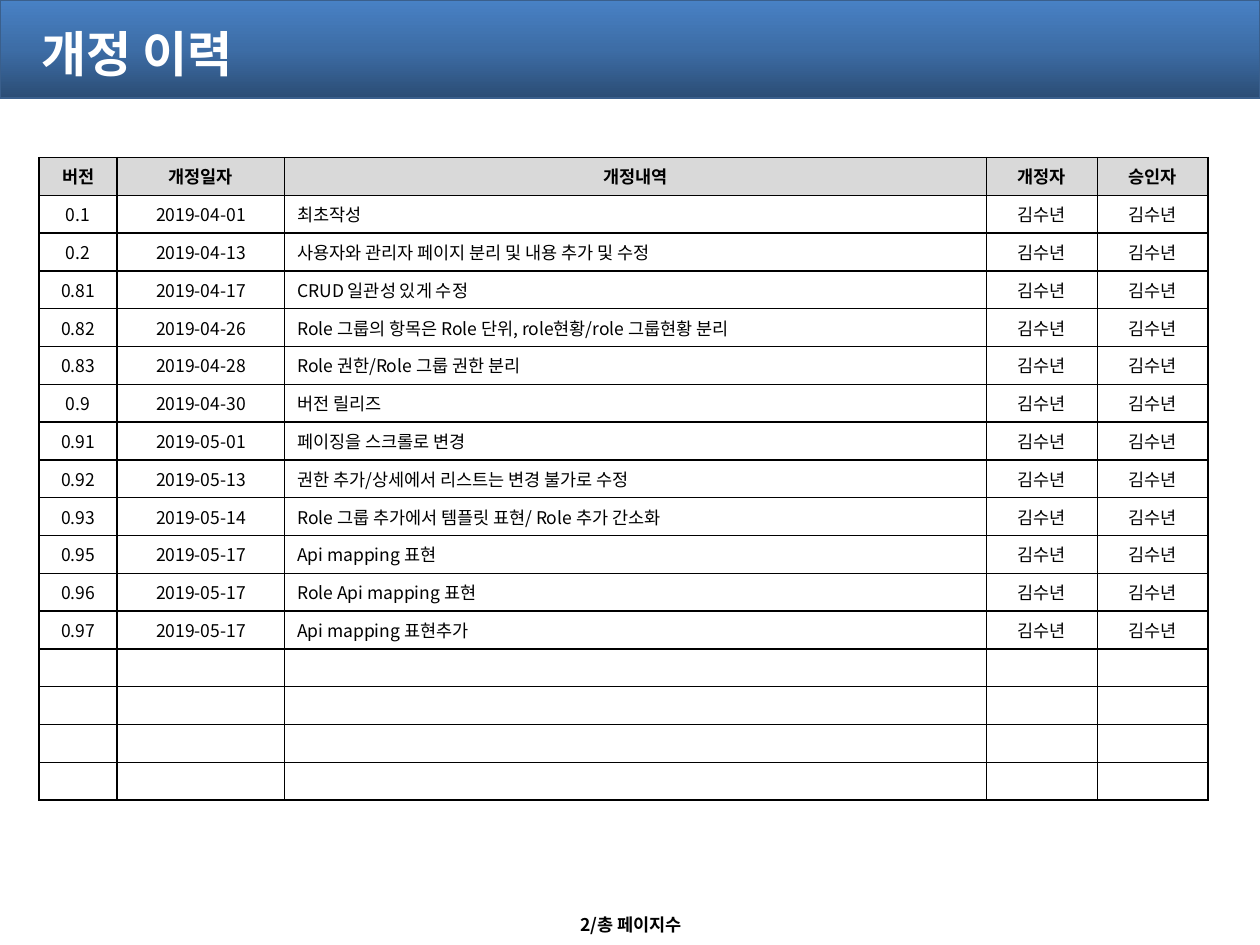
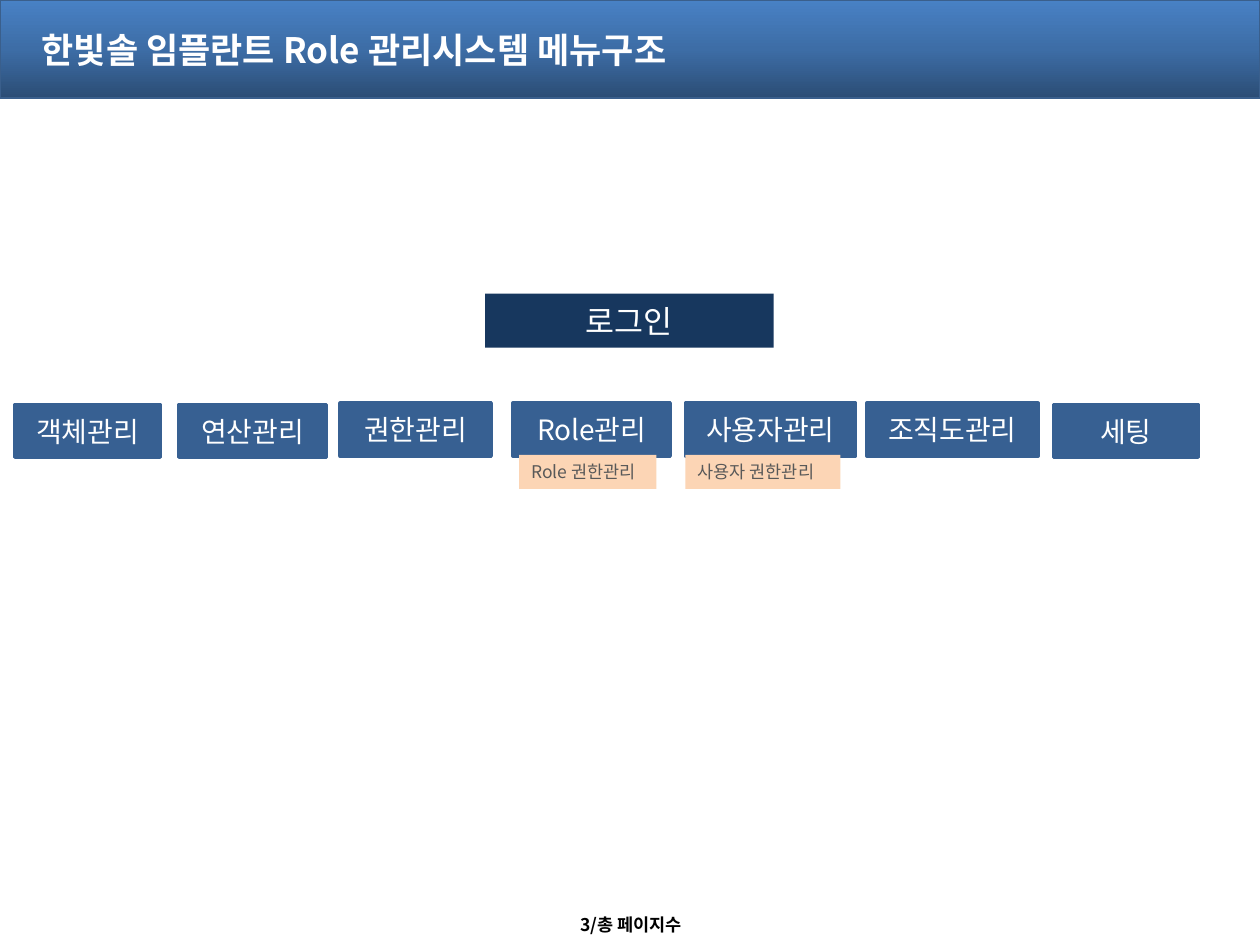
import copy

import pptx
import pptx.dml.color
import pptx.enum.shapes
import pptx.enum.text
import pptx.oxml.ns
import pptx.util
from lxml import etree

Inches = pptx.util.Inches
ALIGN = pptx.enum.text.PP_ALIGN
ANCHOR = pptx.enum.text.MSO_ANCHOR
RECTANGLE = pptx.enum.shapes.MSO_SHAPE.RECTANGLE
rgb = pptx.dml.color.RGBColor.from_string
qn = pptx.oxml.ns.qn

FONT = "Noto Sans CJK KR"
WHITE, BLACK = "FFFFFF", "000000"
MENU_BLUE = "376092"
BAND_STOPS = [(0, "2B4D75"), (0.5, "3D6DA6"), (1, "4881C5")]


def write(frame, text, size, color, bold=False, align=ALIGN.CENTER, kerned=True):
    """Set one paragraph; an empty one still carries its size and font."""
    frame.text = text
    paragraph = frame.paragraphs[0]
    paragraph.alignment = align
    if text:
        font = paragraph.runs[0].font
        font.size, font.bold, font.name = pptx.util.Pt(size), bold, FONT
        font.color.rgb = rgb(color)
        etree.SubElement(font._element, qn("a:ea"), typeface=FONT)
        if not kerned:
            font._element.set("kern", "0")
    else:
        end = etree.SubElement(paragraph._p, qn("a:endParaRPr"), sz=str(size * 100))
        for script in ("a:latin", "a:ea"):
            etree.SubElement(end, qn(script), typeface=FONT)


def add_box(slide, left, top, width, height, fill, line=None, line_width=2):
    box = slide.shapes.add_shape(
        RECTANGLE, Inches(left), Inches(top), Inches(width), Inches(height))
    box.shadow.inherit = False
    box.fill.solid()
    box.fill.fore_color.rgb = rgb(fill)
    if line:
        box.line.color.rgb = rgb(line)
        box.line.width = pptx.util.Pt(line_width)
    else:
        box.line.fill.background()
    box.text_frame.word_wrap = True
    return box


deck = pptx.Presentation()
deck.slide_width, deck.slide_height = Inches(10), Inches(7.5)

# Title band, title and page footer shared by the slides
headings = [("개정 이력", 28, 0.15), ("한빛솔 임플란트 Role 관리시스템 메뉴구조", 20, 0.06)]
for page, (heading, size, top) in enumerate(headings, start=2):
    slide = deck.slides.add_slide(deck.slide_layouts[5])

    band = add_box(slide, 0, 0, 10, 0.78, MENU_BLUE, "3A5F8C", 1)
    band.fill.gradient()
    band.fill.gradient_angle = 90
    stop_list = band._element.spPr.find(".//" + qn("a:gsLst"))
    stop_list.append(copy.deepcopy(stop_list[0]))
    for stop, (position, color) in zip(band.fill.gradient_stops, BAND_STOPS):
        stop.position = position
        stop.color.rgb = rgb(color)
    slide.shapes._spTree.insert(2, band._element)

    title = slide.shapes.title
    title.left, title.top = Inches(0.23), Inches(top)
    title.width, title.height = Inches(9.53), Inches(0.55)
    title.text_frame.auto_size = pptx.enum.text.MSO_AUTO_SIZE.NONE
    title.text_frame.vertical_anchor = ANCHOR.BOTTOM
    write(title.text_frame, heading, size, WHITE, True, ALIGN.LEFT, kerned=False)

    footer = slide.shapes.add_textbox(
        Inches(4.38), Inches(7.16), Inches(1.25), Inches(0.26)).text_frame
    footer.margin_left = footer.margin_right = 0
    footer.margin_top = footer.margin_bottom = 0
    footer.word_wrap = True
    footer.vertical_anchor = ANCHOR.BOTTOM
    write(footer, f"{page}/총 페이지수", 10, BLACK, True)
    footer.paragraphs[0].line_spacing = 0.8

history_slide, menu_slide = deck.slides

# Revision history
AUTHOR = "김수년"
revisions = [
    ("0.1", "2019-04-01", "최초작성"),
    ("0.2", "2019-04-13", "사용자와 관리자 페이지 분리 및 내용 추가 및 수정"),
    ("0.81", "2019-04-17", "CRUD 일관성 있게 수정"),
    ("0.82", "2019-04-26", "Role 그룹의 항목은 Role 단위, role현황/role 그룹현황 분리"),
    ("0.83", "2019-04-28", "Role 권한/Role 그룹 권한 분리"),
    ("0.9", "2019-04-30", "버전 릴리즈"),
    ("0.91", "2019-05-01", "페이징을 스크롤로 변경"),
    ("0.92", "2019-05-13", "권한 추가/상세에서 리스트는 변경 불가로 수정"),
    ("0.93", "2019-05-14", "Role 그룹 추가에서 템플릿 표현/ Role 추가 간소화"),
    ("0.95", "2019-05-17", "Api mapping 표현"),
    ("0.96", "2019-05-17", "Role Api mapping 표현"),
    ("0.97", "2019-05-17", "Api mapping 표현추가"),
]
SPARE_ROWS = 4
DETAIL_COLUMN = 2
ROW_HEIGHT = 0.3
column_widths = [0.62, 1.33, 5.57, 0.88, 0.88]
rows = [("버전", "개정일자", "개정내역", "개정자", "승인자")]
rows += [revision + (AUTHOR, AUTHOR) for revision in revisions]
rows += [("",) * len(column_widths)] * SPARE_ROWS

history = history_slide.shapes.add_table(
    len(rows), len(column_widths), Inches(0.31), Inches(1.25),
    Inches(sum(column_widths)), Inches(ROW_HEIGHT * len(rows))).table
history.horz_banding = False
for column, width in zip(history.columns, column_widths):
    column.width = Inches(width)

for r, row in enumerate(rows):
    history.rows[r].height = Inches(ROW_HEIGHT)
    is_header = r == 0
    for c, text in enumerate(row):
        cell = history.cell(r, c)
        align = ALIGN.LEFT if c == DETAIL_COLUMN and not is_header else ALIGN.CENTER
        write(cell.text_frame, text, 10, BLACK, is_header, align, kerned=False)
        cell_properties = cell._tc.get_or_add_tcPr()
        for side in ("a:lnL", "a:lnR", "a:lnT", "a:lnB"):
            border = etree.SubElement(cell_properties, qn(side), w="12700")
            border_fill = etree.SubElement(border, qn("a:solidFill"))
            etree.SubElement(border_fill, qn("a:srgbClr"), val=BLACK)
        if is_header:
            cell.fill.solid()
            cell.fill.fore_color.rgb = rgb("D9D9D9")
        else:
            cell.fill.background()

# Menu structure
login = add_box(menu_slide, 3.85, 2.33, 2.29, 0.43, "17375E")
write(login.text_frame, "로그인", 18, WHITE)

menus = [
    ("객체관리", 0.12, 3.21, 1.15),
    ("연산관리", 1.42, 3.21, 1.17),
    ("권한관리", 2.7, 3.2, 1.2),
    ("Role관리", 4.07, 3.2, 1.25),
    ("사용자관리", 5.44, 3.2, 1.35),
    ("조직도관리", 6.88, 3.2, 1.36),
    ("세팅", 8.36, 3.21, 1.15),
]
for label, left, top, width in menus:
    menu = add_box(menu_slide, left, top, width, 0.42, MENU_BLUE, MENU_BLUE)
    write(menu.text_frame, label, 16, WHITE)

for label, left, width in [("Role 권한관리", 4.12, 1.09), ("사용자 권한관리", 5.44, 1.23)]:
    submenu = add_box(menu_slide, left, 3.61, width, 0.27, "FCD5B5")
    submenu.text_frame.vertical_anchor = ANCHOR.TOP
    write(submenu.text_frame, label, 10, "595959", align=ALIGN.LEFT)

deck.save("out.pptx")
